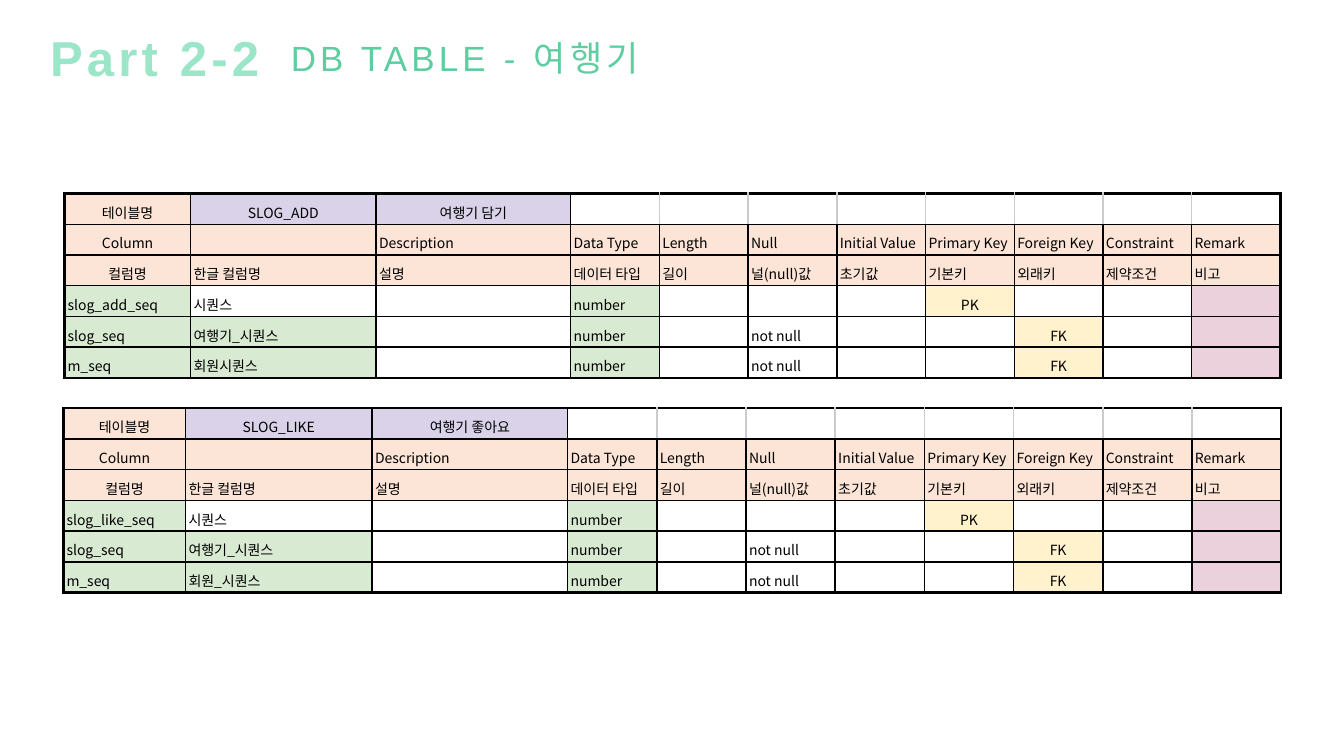
import pptx
import pptx.dml.color
import pptx.enum.text
import pptx.oxml.ns
import pptx.util
from lxml import etree

Inches, Pt = pptx.util.Inches, pptx.util.Pt
RGBColor = pptx.dml.color.RGBColor
ALIGN, ANCHOR = pptx.enum.text.PP_ALIGN, pptx.enum.text.MSO_ANCHOR
qn = pptx.oxml.ns.qn

# Content
PART = "Part 2-2"
TOPIC = "DB TABLE - 여행기"
HEADINGS = [
    ["Column", "", "Description", "Data Type", "Length", "Null", "Initial Value",
     "Primary Key", "Foreign Key", "Constraint", "Remark"],
    ["컬럼명", "한글 컬럼명", "설명", "데이터 타입", "길이", "널(null)값", "초기값",
     "기본키", "외래키", "제약조건", "비고"],
]
# Each field: column name, Korean name, null rule, key
TABLES = [
    {"name": "SLOG_ADD", "about": "여행기 담기",
     "fields": [("slog_add_seq", "시퀀스", "", "PK"),
                ("slog_seq", "여행기_시퀀스", "not null", "FK"),
                ("m_seq", "회원시퀀스", "not null", "FK")],
     "at": (0.64, 1.92, 12.06, 1.83), "lead_widths": [1.25, 1.84, 1.93]},
    {"name": "SLOG_LIKE", "about": "여행기 좋아요",
     "fields": [("slog_like_seq", "시퀀스", "", "PK"),
                ("slog_seq", "여행기_시퀀스", "not null", "FK"),
                ("m_seq", "회원_시퀀스", "not null", "FK")],
     "at": (0.63, 4.05, 12.08, 1.83), "lead_widths": [1.21, 1.85, 1.94]},
]

# Colours and formats
MINT = RGBColor(0x9B, 0xE5, 0xC8)
GREEN = RGBColor(0x5E, 0xCE, 0xA0)
BLACK = RGBColor(0x00, 0x00, 0x00)
GREY = RGBColor(0xCC, 0xCC, 0xCC)
PEACH = RGBColor(0xFC, 0xE4, 0xD6)
LILAC = RGBColor(0xD9, 0xD2, 0xE9)
LEAF = RGBColor(0xD9, 0xEA, 0xD3)
CREAM = RGBColor(0xFF, 0xF2, 0xCC)
PINK = RGBColor(0xEA, 0xD1, 0xDC)

HANGUL_FONT = "Noto Sans CJK KR"
PART_FONT = {"name": "Arial", "size": Pt(35), "bold": True}
TOPIC_FONT = {"name": "Arial", "size": Pt(25), "bold": False}
CELL_FONT = {"name": HANGUL_FONT, "size": Pt(10), "bold": False}
HEADING_FRAME = {"word_wrap": True, "vertical_anchor": ANCHOR.TOP,
                 "auto_size": pptx.enum.text.MSO_AUTO_SIZE.NONE,
                 "margin_left": Inches(0.1), "margin_right": Inches(0.1),
                 "margin_top": Inches(0.05), "margin_bottom": Inches(0.05)}
CELL_FRAME = {"vertical_anchor": ANCHOR.BOTTOM,
              "margin_left": Inches(0.03), "margin_right": Inches(0.03),
              "margin_top": Inches(0.02), "margin_bottom": Inches(0.02)}
THIN, THICK = Pt(1.2), Pt(2)
TYPE_COL, NULL_COL, REMARK_COL = 3, 5, 10
KEY_COLS = {"PK": 7, "FK": 8}


def apply(target, values):
    for key, value in values.items():
        setattr(target, key, value)


def write(paragraph, text, font, color, spacing=None):
    run = paragraph.add_run()
    run.text = text
    apply(run.font, font)
    run.font.color.rgb = color
    props = run.font._element
    etree.SubElement(props, qn("a:ea"), typeface=HANGUL_FONT)
    if spacing:
        props.set("spc", str(spacing))


def write_heading(shape, at, text, font, color):
    shape.left, shape.top, shape.width, shape.height = map(Inches, at)
    apply(shape.text_frame, HEADING_FRAME)
    paragraph = shape.text_frame.paragraphs[0]
    paragraph.alignment = ALIGN.CENTER
    write(paragraph, text, font, color, spacing=300)


def table_rows(table):
    rows = [["테이블명", table["name"], table["about"]] + [""] * 8] + HEADINGS
    for column, korean, null_rule, key in table["fields"]:
        row = [column, korean] + [""] * 9
        row[TYPE_COL], row[NULL_COL], row[KEY_COLS[key]] = "number", null_rule, key
        rows.append(row)
    return rows


def cell_fill(r, c, text):
    if r == 0:
        return PEACH if c == 0 else LILAC if c < TYPE_COL else None
    if r <= len(HEADINGS):
        return PEACH
    if c == REMARK_COL:
        return PINK
    if text in KEY_COLS:
        return CREAM
    if c in (0, TYPE_COL) or (c == 1 and r > len(HEADINGS) + 1):
        return LEAF
    return None


def draw_borders(cell, r, c, last_row):
    # Outer edges are thick; the empty part of the first row has grey dividers
    sides = {
        "L": (GREY if r == 0 and c > TYPE_COL else BLACK, THICK if c == 0 else THIN),
        "R": (GREY if r == 0 and TYPE_COL <= c < REMARK_COL else BLACK,
              THICK if c == REMARK_COL else THIN),
        "T": (BLACK, THICK if r == 0 else THIN),
        "B": (BLACK, THICK if r == last_row else THIN),
    }
    props = cell._tc.get_or_add_tcPr()
    for side, (color, width) in sides.items():
        line = etree.SubElement(props, qn("a:ln" + side), w=str(int(width)))
        fill = etree.SubElement(line, qn("a:solidFill"))
        etree.SubElement(fill, qn("a:srgbClr"), val=str(color))


def add_db_table(slide, table):
    rows = table_rows(table)
    columns = len(HEADINGS[0])
    left, top, width, height = table["at"]
    grid = slide.shapes.add_table(len(rows), columns, *map(Inches, table["at"])).table
    leads = table["lead_widths"]
    other_width = (width - sum(leads)) / (columns - len(leads))
    for c, column in enumerate(grid.columns):
        column.width = Inches(leads[c] if c < len(leads) else other_width)
    for r, row in enumerate(rows):
        grid.rows[r].height = Inches(height / len(rows))
        for c, text in enumerate(row):
            cell = grid.cell(r, c)
            apply(cell, CELL_FRAME)
            draw_borders(cell, r, c, len(rows) - 1)
            color = cell_fill(r, c, text)
            if color is None:
                cell.fill.background()
            else:
                cell.fill.solid()
                cell.fill.fore_color.rgb = color
            paragraph = cell.text_frame.paragraphs[0]
            paragraph.line_spacing = 1.15
            centred = r == 0 or (c == 0 and r <= len(HEADINGS)) or text in KEY_COLS
            paragraph.alignment = ALIGN.CENTER if centred else ALIGN.LEFT
            if text:
                write(paragraph, text, CELL_FONT, BLACK)
            else:
                # Keeps an empty cell from stretching its row
                etree.SubElement(paragraph._p, qn("a:endParaRPr"), sz="1000")


def main():
    deck = pptx.Presentation()
    deck.slide_width, deck.slide_height = Inches(13.33), Inches(7.5)
    slide = deck.slides.add_slide(deck.slide_layouts[5])

    # Heading
    write_heading(slide.shapes.title, (2.56, 0.31, 4.1, 0.51), TOPIC, TOPIC_FONT, GREEN)
    part = slide.shapes.add_textbox(0, 0, 0, 0)
    write_heading(part, (0, 0.22, 3.07, 0.68), PART, PART_FONT, MINT)

    # Table definitions
    for table in TABLES:
        add_db_table(slide, table)

    deck.save("out.pptx")


if __name__ == "__main__":
    main()
